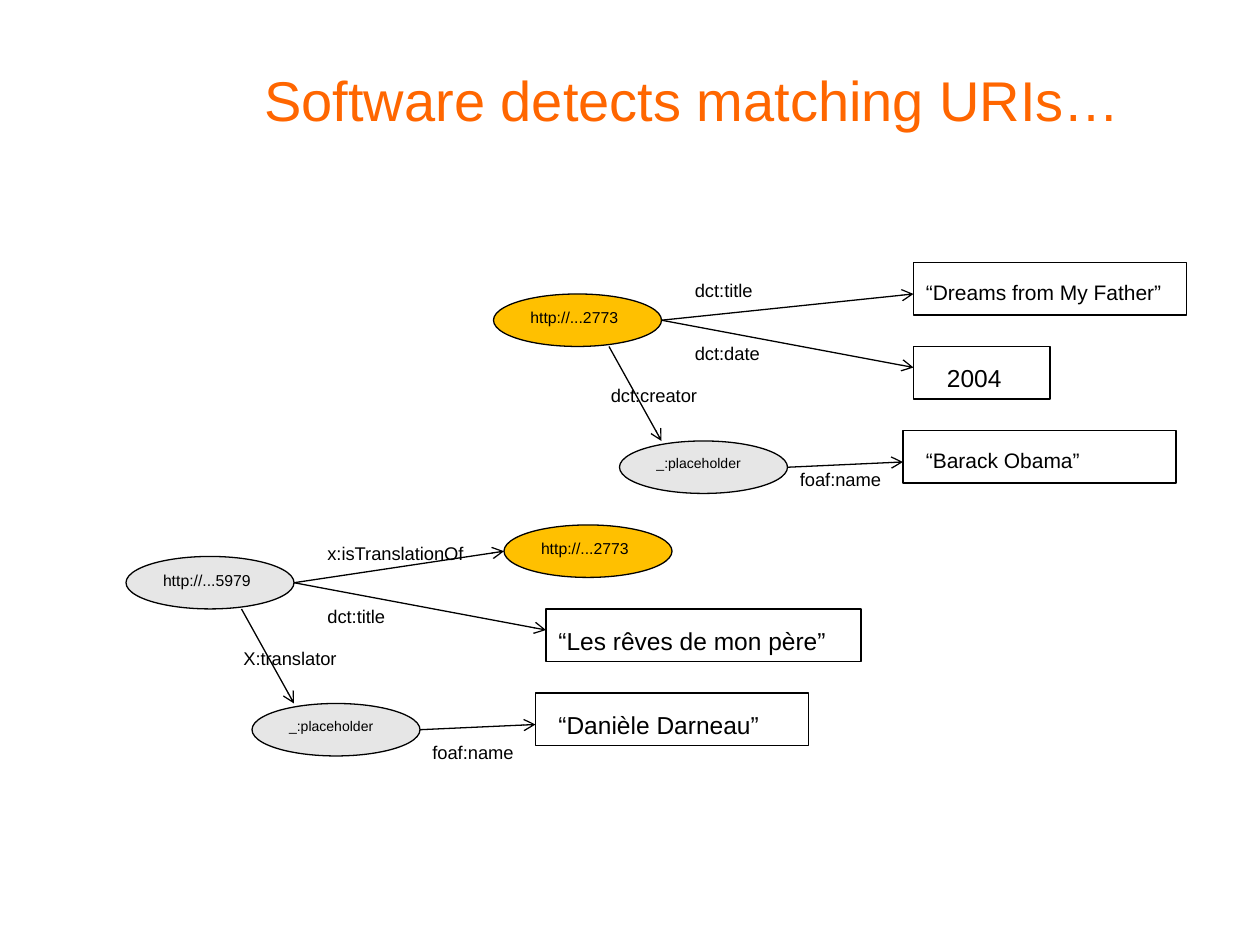
import pptx
import pptx.util
import pptx.dml.color
import pptx.enum.shapes
import pptx.enum.text
import pptx.oxml.ns
import lxml.etree

Pt = pptx.util.Pt
RGBColor = pptx.dml.color.RGBColor
SHAPES = pptx.enum.shapes.MSO_SHAPE

BLACK = RGBColor(0x00, 0x00, 0x00)
ORANGE = RGBColor(0xFF, 0x66, 0x00)
GOLD = RGBColor(0xFF, 0xC0, 0x00)
GREY = RGBColor(0xE6, 0xE6, 0xE6)

NODE_W, NODE_H = 96, 30


def write(frame, text, size, color=BLACK, align=pptx.enum.text.PP_ALIGN.LEFT):
    line = frame.paragraphs[0]
    line.text = text
    line.alignment = align
    line.font.name = "Arial"
    line.font.size = Pt(size)
    line.font.color.rgb = color


def add_outlined(slide, kind, x, y, width, fill=None):
    outlined = slide.shapes.add_shape(kind, Pt(x), Pt(y), Pt(width), Pt(NODE_H))
    outlined.shadow.inherit = False
    if fill is None:
        outlined.fill.background()
    else:
        outlined.fill.solid()
        outlined.fill.fore_color.rgb = fill
    outlined.line.color.rgb = BLACK
    outlined.line.width = Pt(0.75)
    return outlined


def add_node(slide, x, y, text, size, fill):
    node = add_outlined(slide, SHAPES.OVAL, x, y, NODE_W, fill)
    node.text_frame.vertical_anchor = pptx.enum.text.MSO_ANCHOR.TOP
    write(node.text_frame, text, size)


def add_label(slide, x, y, width, text, size=10.5):
    label = slide.shapes.add_textbox(Pt(x), Pt(y), Pt(width), Pt(size * 1.2 + 7.2))
    label.text_frame.word_wrap = False
    label.text_frame.auto_size = pptx.enum.text.MSO_AUTO_SIZE.SHAPE_TO_FIT_TEXT
    write(label.text_frame, text, size)


def add_arrow(slide, x1, y1, x2, y2):
    arrow = slide.shapes.add_connector(
        pptx.enum.shapes.MSO_CONNECTOR.STRAIGHT, Pt(x1), Pt(y1), Pt(x2), Pt(y2))
    arrow.line.color.rgb = BLACK
    arrow.line.width = Pt(0.75)
    qn = pptx.oxml.ns.qn
    lxml.etree.SubElement(arrow.line._get_or_add_ln(), qn("a:tailEnd"), type="arrow")
    lxml.etree.SubElement(arrow._element.spPr, qn("a:effectLst"))


def add_literal(slide, x, y, width, indent, text_width, text, size):
    add_outlined(slide, SHAPES.RECTANGLE, x, y, width)
    add_label(slide, x + indent, y + 6, text_width, text, size)


def add_title(slide, x, y, width, height):
    title = slide.shapes.add_textbox(Pt(x), Pt(y), Pt(width), Pt(height))
    title.text_frame.word_wrap = True
    title.text_frame.vertical_anchor = pptx.enum.text.MSO_ANCHOR.MIDDLE
    write(title.text_frame, "Software detects matching URIs…", 32, ORANGE,
          pptx.enum.text.PP_ALIGN.CENTER)


def add_graph(slide, x, y, subject, subject_fill, first_target, properties, literals):
    """Subject node at (x, y) with two properties and a named agent below it."""
    # Subject and the blank node for the agent
    add_node(slide, x, y, subject, 9, subject_fill)
    add_node(slide, x + 72, y + 84, "_:placeholder", 8, GREY)

    # Arrows: agent, first property, second property, agent's name
    target_x, target_y = first_target
    for x1, y1, x2, y2 in ((66, NODE_H, 96, 84),
                           (NODE_W, 15, target_x, target_y),
                           (NODE_W, 15, 240, 42),
                           (168, 99, 234, 96)):
        add_arrow(slide, x + x1, y + y1, x + x2, y + y2)

    # Property names
    for dx, dy, width, text in properties:
        add_label(slide, x + dx, y + dy, width, text)

    # Literal values
    for dx, dy, *content in literals:
        add_literal(slide, x + dx, y + dy, *content)


def main():
    deck = pptx.Presentation()
    deck.slide_width, deck.slide_height = Pt(720), Pt(540)
    slide = deck.slides.add_slide(deck.slide_layouts[6])

    add_title(slide, 72, 28, 648, 57)

    # Original book
    add_graph(
        slide, 282, 168, "http://...2773", GOLD, (240, 0),
        [(60, 48, 67, "dct:creator"), (108, 24, 52.5, "dct:date"),
         (108, -12, 48, "dct:title"), (168, 96, 62, "foaf:name")],
        [(240, -18, 156, 0, 150.5, "“Dreams from My Father”", 12),
         (240, 30, 78, 12, 46, "2004", 14),
         (234, 78, 156, 6, 103, "“Barack Obama”", 12)])

    # Translation, pointing to the same URI
    add_graph(
        slide, 72, 318, "http://...5979", GREY, (216, -3),
        [(60, 48, 69, "X:translator"), (108, 24, 48, "dct:title"),
         (108, -12, 94, "x:isTranslationOf"), (168, 102, 62, "foaf:name")],
        [(240, 30, 180, 0, 168.5, "“Les rêves de mon père”", 14),
         (234, 78, 156, 6, 129.5, "“Danièle Darneau”", 14)])
    add_node(slide, 288, 300, "http://...2773", 9, GOLD)

    deck.save("out.pptx")


if __name__ == "__main__":
    main()
